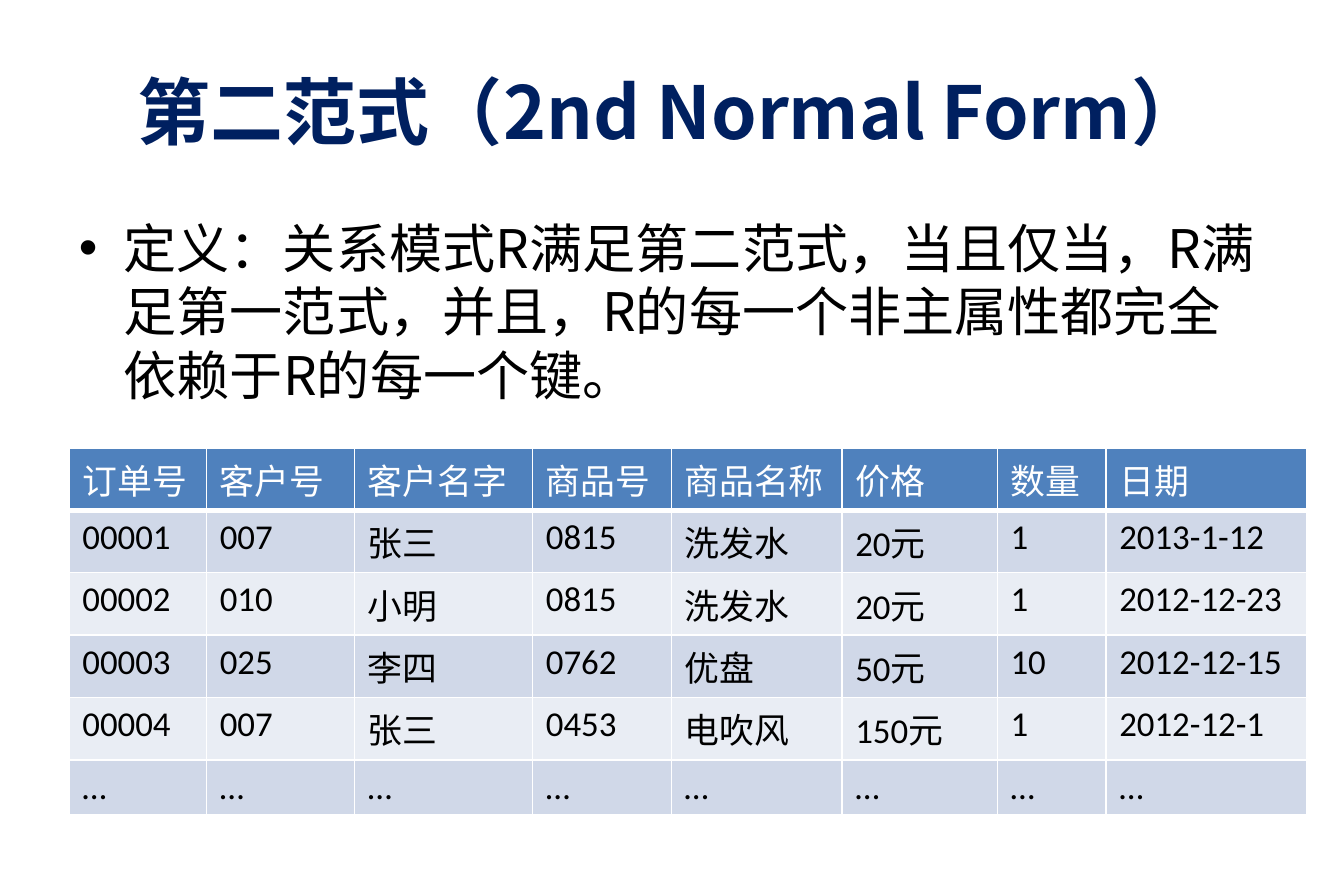
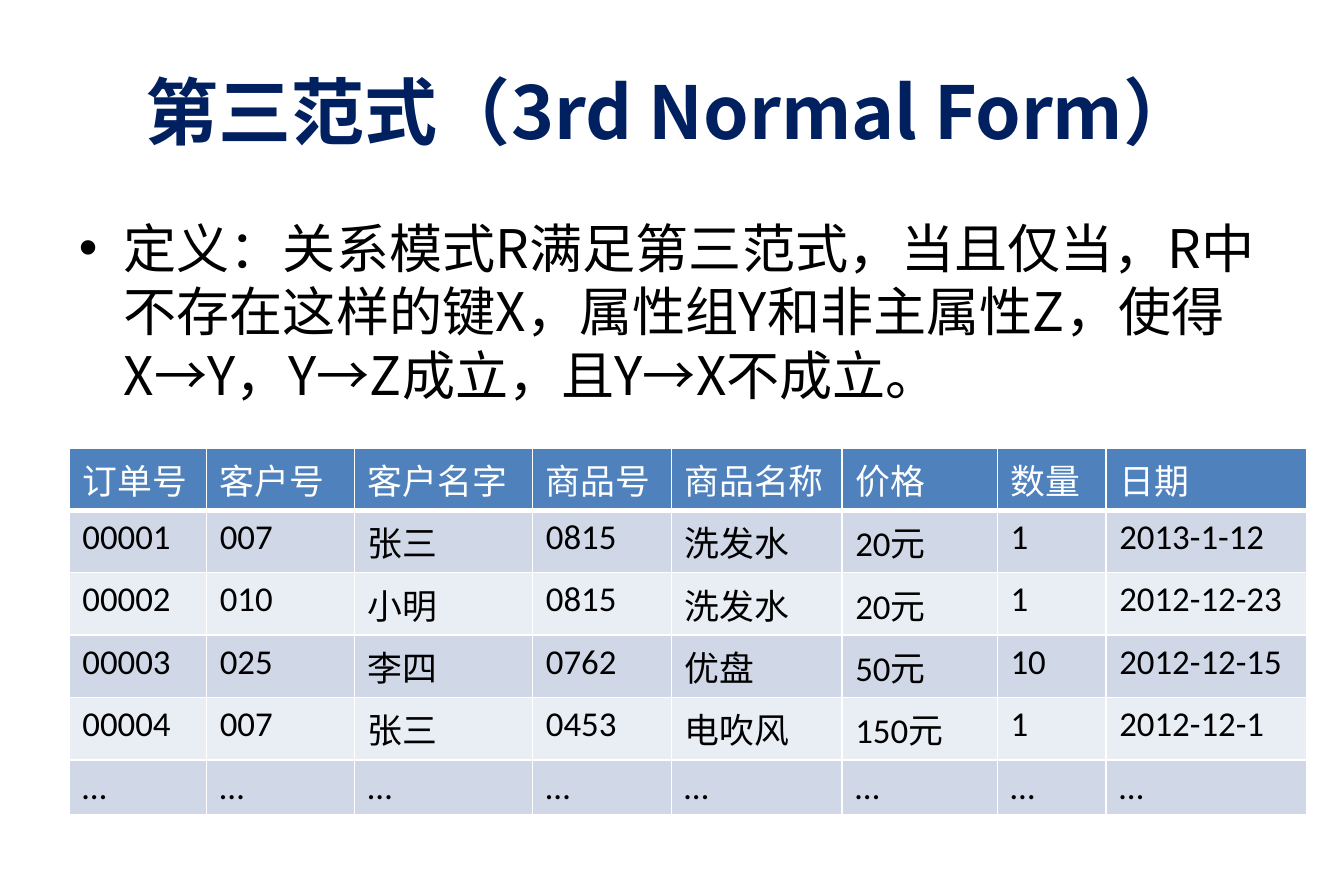
from lxml.etree import SubElement
from pptx import Presentation
from pptx.dml.color import RGBColor
from pptx.enum.text import MSO_ANCHOR, PP_ALIGN
from pptx.oxml.ns import qn
from pptx.util import Inches, Pt

SLIDES = [
    ("第二范式（2nd Normal Form）",
     "定义：关系模式R满足第二范式，当且仅当，R满足第一范式，并且，"
     "R的每一个非主属性都完全依赖于R的每一个键。"),
    ("第三范式（3rd Normal Form）",
     "定义：关系模式R满足第三范式，当且仅当，R中不存在这样的键X，"
     "属性组Y和非主属性Z，使得X→Y，Y→Z成立，且Y→X不成立。"),
]
ORDERS = [
    ("订单号", "客户号", "客户名字", "商品号", "商品名称", "价格", "数量", "日期"),
    ("00001", "007", "张三", "0815", "洗发水", "20元", "1", "2013-1-12"),
    ("00002", "010", "小明", "0815", "洗发水", "20元", "1", "2012-12-23"),
    ("00003", "025", "李四", "0762", "优盘", "50元", "10", "2012-12-15"),
    ("00004", "007", "张三", "0453", "电吹风", "150元", "1", "2012-12-1"),
    ("…",) * 8,
]
COLUMN_WIDTHS = (1.15, 1.24, 1.49, 1.16, 1.43, 1.3, 0.91, 1.68)
HEADER_HEIGHT, ROW_HEIGHT = 0.48, 0.41

TITLE_BOX = (0.56, 0.3, 10.12, 1.25)
BODY_BOX = (0.56, 1.75, 10.12, 4.95)
TABLE_LEFT, TABLE_TOP = 0.58, 3.75

NAVY, BLACK, WHITE = "002060", "000000", "FFFFFF"
HEADER_FILL, ROW_FILLS = "4F81BD", ("D0D8E8", "E9EDF4")
LATIN_FONT, CHINESE_FONT = "Calibri", "Noto Sans CJK SC"


def color(value):
    """Turn a hex string into a colour."""
    return RGBColor.from_string(value)


def add_run(paragraph, text, size, hex_color, font=CHINESE_FONT, bold=False):
    """Add one formatted run, with the Chinese font for East Asian text."""
    run = paragraph.add_run()
    run.text = text
    run.font.size = Pt(size)
    run.font.bold = bold
    run.font.color.rgb = color(hex_color)
    run.font.name = font
    SubElement(run.font._element, qn("a:ea"), typeface=CHINESE_FONT)


def place(shape, box):
    """Move and size a shape to a box given in inches."""
    shape.left, shape.top, shape.width, shape.height = map(Inches, box)


def set_borders(cell, bottom_width):
    """Draw white cell borders, one point wide except at the bottom."""
    properties = cell._tc.get_or_add_tcPr()
    for side, width in (("L", 1), ("R", 1), ("T", 1), ("B", bottom_width)):
        line = SubElement(properties, qn(f"a:ln{side}"), w=str(Pt(width)))
        fill = SubElement(line, qn("a:solidFill"))
        SubElement(fill, qn("a:srgbClr"), val=WHITE)


def add_order_table(slide):
    """Add the order table with a header and banded rows."""
    heights = [HEADER_HEIGHT] + [ROW_HEIGHT] * (len(ORDERS) - 1)
    frame = slide.shapes.add_table(
        len(ORDERS), len(COLUMN_WIDTHS), Inches(TABLE_LEFT), Inches(TABLE_TOP),
        Inches(sum(COLUMN_WIDTHS)), Inches(sum(heights)))
    table = frame.table
    for column, width in zip(table.columns, COLUMN_WIDTHS):
        column.width = Inches(width)
    for index, (row, height, values) in enumerate(zip(table.rows, heights, ORDERS)):
        row.height = Inches(height)
        is_header = index == 0
        fill = HEADER_FILL if is_header else ROW_FILLS[(index - 1) % 2]
        for cell, value in zip(row.cells, values):
            cell.margin_left = cell.margin_right = Inches(0.11)
            cell.margin_top = cell.margin_bottom = Inches(0.05)
            set_borders(cell, 3 if is_header else 1)
            cell.fill.solid()
            cell.fill.fore_color.rgb = color(fill)
            add_run(cell.text_frame.paragraphs[0], value, 21,
                    WHITE if is_header else BLACK, LATIN_FONT)


def add_normal_form_slide(presentation, title, definition):
    """Add a slide with a title, a bulleted definition and the order table."""
    slide = presentation.slides.add_slide(
        presentation.slide_layouts.get_by_name("Title and Content"))
    heading, body = slide.placeholders
    place(heading, TITLE_BOX)
    heading.text_frame.vertical_anchor = MSO_ANCHOR.MIDDLE
    paragraph = heading.text_frame.paragraphs[0]
    paragraph.alignment = PP_ALIGN.CENTER
    add_run(paragraph, title, 44, NAVY, bold=True)
    place(body, BODY_BOX)
    add_run(body.text_frame.paragraphs[0], definition, 32, BLACK)
    add_order_table(slide)


def main():
    """Build and save the presentation."""
    presentation = Presentation()
    presentation.slide_width = Inches(11.25)
    presentation.slide_height = Inches(7.5)
    for title, definition in SLIDES:
        add_normal_form_slide(presentation, title, definition)
    presentation.save("out.pptx")


main()
